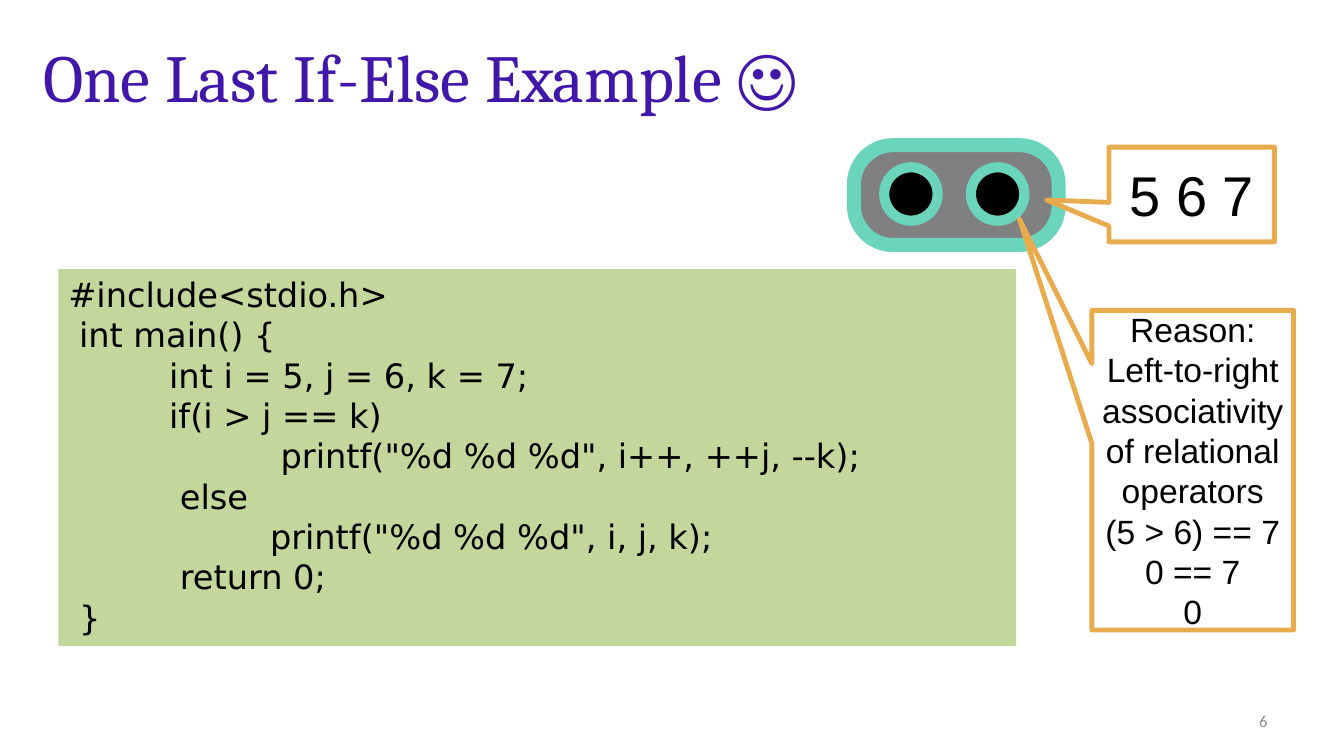
from dataclasses import dataclass

from lxml import etree
from pptx import Presentation
from pptx.dml.color import RGBColor
from pptx.enum.shapes import MSO_SHAPE
from pptx.enum.text import MSO_ANCHOR, PP_ALIGN
from pptx.oxml.ns import qn
from pptx.util import Inches, Pt

RECT = MSO_SHAPE.RECTANGLE
ROUND = MSO_SHAPE.ROUNDED_RECTANGLE
OVAL = MSO_SHAPE.OVAL
CALLOUT = MSO_SHAPE.RECTANGULAR_CALLOUT
TOP, MIDDLE = MSO_ANCHOR.TOP, MSO_ANCHOR.MIDDLE
LEFT, CENTER, RIGHT = PP_ALIGN.LEFT, PP_ALIGN.CENTER, PP_ALIGN.RIGHT

COLORS = {
    "title": "4117A9",
    "number": "8C8C8C",
    "code": "C3D69B",
    "mask": "808080",
    "teal": "6AD5BB",
    "orange": "E8AB4E",
    "black": "000000",
    "white": "FFFFFF",
}


@dataclass
class Box:
    left: float
    top: float
    width: float
    height: float

    def place(self) -> list[int]:
        return [Inches(n) for n in (self.left, self.top, self.width, self.height)]


@dataclass
class Style:
    font: str
    size: float
    color: str = "black"
    align: PP_ALIGN = LEFT
    anchor: MSO_ANCHOR = MIDDLE


@dataclass
class Form:
    kind: MSO_SHAPE
    box: Box
    fill: str
    line: str = ""
    weight: float = 0
    adjust: tuple[float, ...] = ()


@dataclass
class Bubble:
    box: Box
    tip: tuple[float, float]
    size: float
    lines: list[str]


def shade(name: str) -> RGBColor:
    return RGBColor.from_string(COLORS[name])


def write(shape, lines: list[str], style: Style) -> None:
    frame = shape.text_frame
    frame.word_wrap = True
    frame.vertical_anchor = style.anchor
    for i, line in enumerate(lines):
        para = frame.add_paragraph() if i else frame.paragraphs[0]
        para.alignment = style.align
        run = para.add_run()
        run.text = line
        run.font.name = style.font
        run.font.size = Pt(style.size)
        run.font.color.rgb = shade(style.color)


def set_tabs(shape, stops: tuple[float, ...]) -> None:
    for para in shape.text_frame.paragraphs:
        tabs = etree.SubElement(para._p.get_or_add_pPr(), qn("a:tabLst"))
        for stop in stops:
            etree.SubElement(tabs, qn("a:tab"), pos=str(Inches(stop)), algn="l")


def label(slide, box: Box, text: str, style: Style) -> None:
    write(slide.shapes.add_textbox(*box.place()), [text], style)


def draw(shapes, form: Form):
    shape = shapes.add_shape(form.kind, *form.box.place())
    shape.shadow.inherit = False
    shape.fill.solid()
    shape.fill.fore_color.rgb = shade(form.fill)
    if form.line:
        shape.line.color.rgb = shade(form.line)
        shape.line.width = Pt(form.weight)
    else:
        shape.line.fill.background()
    for i, value in enumerate(form.adjust):
        shape.adjustments[i] = value
    return shape


def speak(slide, bubble: Bubble) -> None:
    form = Form(CALLOUT, bubble.box, "white", "orange", 3.5, bubble.tip)
    write(draw(slide.shapes, form), bubble.lines,
          Style("Arial", bubble.size, align=CENTER))


CODE = [
    "#include<stdio.h>",
    " int main() { ",
    "\tint i = 5, j = 6, k = 7; ",
    "\tif(i > j == k)",
    "\t\t printf(\"%d %d %d\", i++, ++j, --k);",
    "\t else ",
    "\t\tprintf(\"%d %d %d\", i, j, k);",
    "\t return 0;",
    " }",
]

MASK = [Form(ROUND, Box(8.47, 1.44, 2.03, 0.99), "mask", "teal", 10, (0.391,))]
MASK += [Form(OVAL, Box(left, 1.66, 0.53, 0.53), "black", "teal", 7.25)
         for left in (8.77, 9.63)]

BUBBLES = [
    Bubble(Box(11, 1.46, 1.64, 0.94), (-0.876, 0.059), 40, ["5 6 7"]),
    Bubble(Box(10.83, 3.08, 2, 3.17), (-0.859, -0.785), 24, [
        "Reason: Left-to-right associativity of relational operators",
        "(5 > 6) == 7",
        "0 == 7",
        "0",
    ]),
]

deck = Presentation()
deck.slide_width = Inches(13.33)
deck.slide_height = Inches(7.5)
slide = deck.slides.add_slide(deck.slide_layouts[6])

label(slide, Box(0.33, 0.34, 12, 0.83), "One Last If-Else Example \u263a",
      Style("Cambria", 48, "title"))
label(slide, Box(9.56, 6.95, 3.11, 0.4), "6",
      Style("Calibri", 12, "number", RIGHT))

panel = draw(slide.shapes, Form(RECT, Box(0.58, 2.67, 9.5, 3.74), "code"))
write(panel, CODE, Style("DejaVu Sans", 24, anchor=TOP))
set_tabs(panel, (1, 2))

face = slide.shapes.add_group_shape()
for part in MASK:
    draw(face.shapes, part)

for bubble in BUBBLES:
    speak(slide, bubble)

deck.save("out.pptx")
